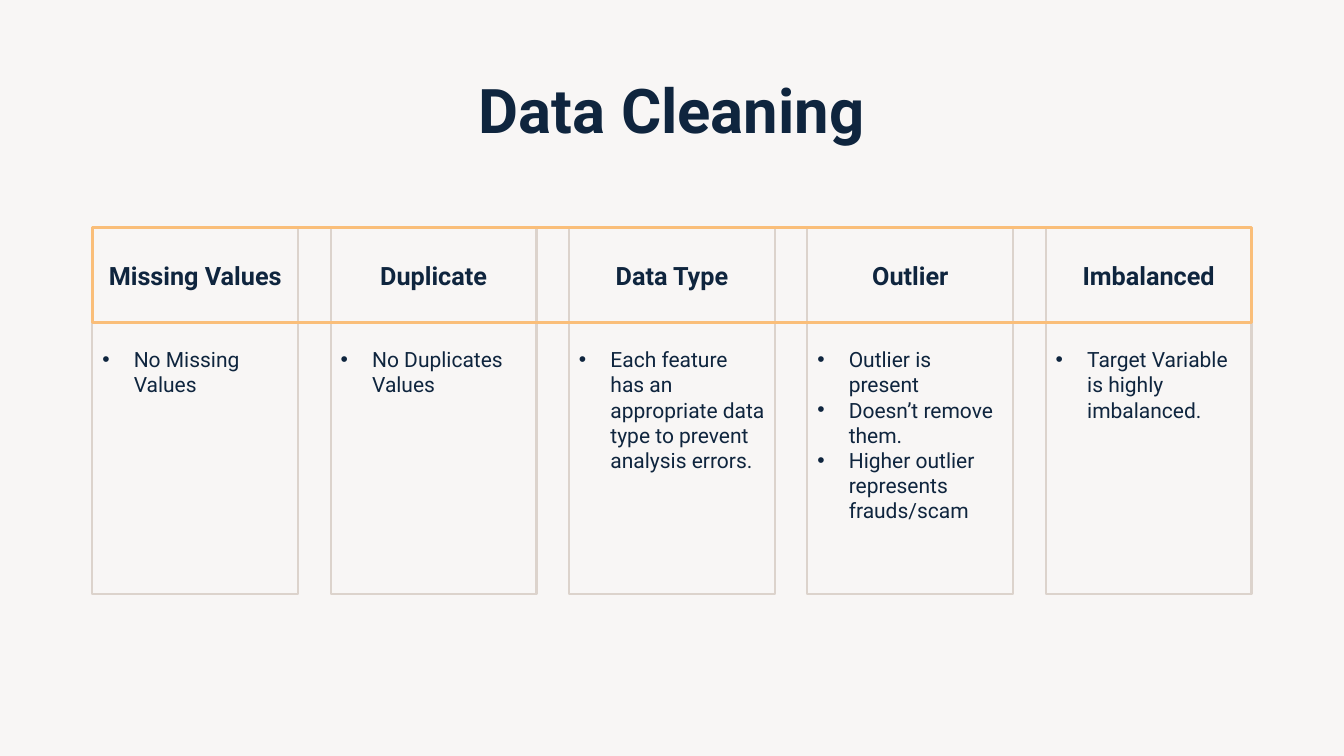
from lxml import etree
from pptx import Presentation
from pptx.dml.color import RGBColor
from pptx.enum.shapes import MSO_SHAPE
from pptx.enum.text import MSO_ANCHOR, PP_ALIGN
from pptx.oxml.ns import qn
from pptx.util import Pt

RECT = MSO_SHAPE.RECTANGLE
TOP, MIDDLE = MSO_ANCHOR.TOP, MSO_ANCHOR.MIDDLE
LEFT, CENTER = PP_ALIGN.LEFT, PP_ALIGN.CENTER

NAVY, SAND, ORANGE, PAPER = "0F253E", "DCD3CC", "FABE79", "F8F6F5"
FONT = "Roboto"
MARGIN, CARD_W, PITCH = 66, 147, 170.25
HEAD_TOP, HEAD_H = 162.6, 68
BODY_TOP, BODY_H = 230.4, 193.8

COLUMNS = [
    ("Missing Values", ["No Missing Values"]),
    ("Duplicate", ["No Duplicates Values"]),
    ("Data Type", ["Each feature has an appropriate data type to prevent analysis errors."]),
    ("Outlier", ["Outlier is present", "Doesn’t remove them.",
                 "Higher outlier represents frauds/scam"]),
    ("Imbalanced", ["Target Variable is highly imbalanced."]),
]


def write(sp, *lines, size, bold=False, align=CENTER, anchor=MIDDLE,
          inset_top=3.6, bullet=False, spacing=None):
    """Fill a shape with one paragraph per line, all in the same format."""
    tf = sp.text_frame
    tf.word_wrap = True
    tf.vertical_anchor = anchor
    tf.margin_left = tf.margin_right = Pt(7.2)
    tf.margin_top, tf.margin_bottom = Pt(inset_top), Pt(3.6)
    for i, line in enumerate(lines):
        p = tf.add_paragraph() if i else tf.paragraphs[0]
        p.alignment = align
        p.line_spacing = spacing
        if bullet:
            pPr = p._p.get_or_add_pPr()
            pPr.set("marL", str(Pt(22.5)))
            pPr.set("indent", str(Pt(-22.5)))
            etree.SubElement(pPr, qn("a:buFont"), typeface="Arial")
            etree.SubElement(pPr, qn("a:buChar"), char="•")
        r = p.add_run()
        r.text = line
        r.font.name, r.font.size, r.font.bold = FONT, Pt(size), bold
        r.font.color.rgb = RGBColor.from_string(NAVY)


def outline_box(x, y, w, h, color, weight):
    sp = s.shapes.add_shape(RECT, Pt(x), Pt(y), Pt(w), Pt(h))
    sp.shadow.inherit = False
    sp.fill.background()
    sp.line.color.rgb = RGBColor.from_string(color)
    sp.line.width = Pt(weight)
    return sp


prs = Presentation()
prs.slide_width, prs.slide_height = Pt(960), Pt(540)
s = prs.slides.add_slide(prs.slide_layouts[5])
s.background.fill.solid()
s.background.fill.fore_color.rgb = RGBColor.from_string(PAPER)

title = s.shapes.title
title.left, title.top, title.width, title.height = Pt(MARGIN), Pt(28.8), Pt(828), Pt(104.4)
write(title, "Data Cleaning", size=44, bold=True, spacing=0.9)

for i, (heading, points) in enumerate(COLUMNS):
    x = MARGIN + i * PITCH
    head = outline_box(x, HEAD_TOP, CARD_W, HEAD_H, SAND, 1.5)
    write(head, heading, size=18, bold=True)
    body = outline_box(x, BODY_TOP, CARD_W, BODY_H, SAND, 1.5)
    write(body, *points, size=15, align=LEFT, anchor=TOP, inset_top=17.3, bullet=True)

outline_box(MARGIN, HEAD_TOP, 828, HEAD_H, ORANGE, 2.25)

prs.save("out.pptx")
